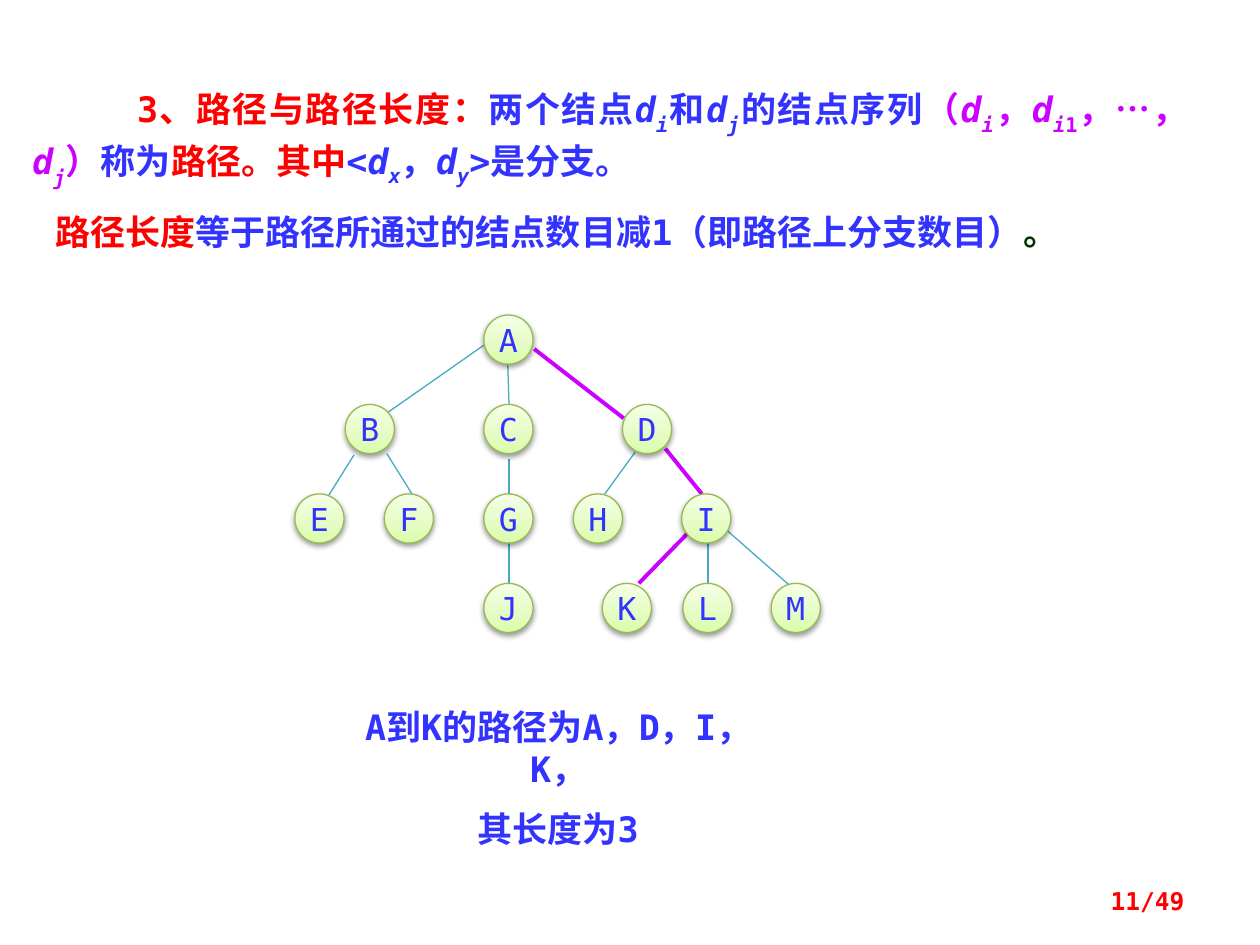
"""Build the slide on paths and path length in a tree."""
import pptx
import pptx.util
import pptx.dml.color
import pptx.enum.shapes
import pptx.enum.text
import pptx.oxml
import pptx.oxml.ns

Inches, Pt = pptx.util.Inches, pptx.util.Pt
ALIGN, ANCHOR = pptx.enum.text.PP_ALIGN, pptx.enum.text.MSO_ANCHOR

THEME = dict(
    font="DejaVu Sans Mono", symbol="Arial", body=20, node=18, number=14,
    blue="3333FF", red="FF0000", path="CC00FF", green="003300",
    edge="46AAC5", outline="98B955",
    stops=[(0, "DAFDA7"), (35, "E4FCC2"), (100, "F5FFE7")],
)

# Each run: text, colour, style (i italic, s subscript, x shallow subscript, a symbol font)
DEFINITION = [
    ("3、路径与路径长度：", "red", ""), ("两个结点", "blue", ""),
    ("d", "blue", "i"), ("i", "blue", "is"), ("和", "blue", ""),
    ("d", "blue", "i"), ("j", "blue", "is"), ("的结点序列", "blue", ""),
    ("（", "path", ""), ("d", "path", "i"), ("i", "path", "is"), ("，", "path", ""),
    ("d", "path", "i"), ("i", "path", "is"), ("1", "path", "s"), ("，", "path", ""),
    ("…", "path", "a"), ("，", "path", ""), ("d", "path", "i"), ("j", "path", "is"),
    ("）", "path", ""), ("称为", "blue", ""), ("路径。其中", "red", ""),
    ("<", "blue", ""), ("d", "blue", "i"), ("x", "blue", "ix"), ("，", "blue", ""),
    ("d", "blue", "i"), ("y", "blue", "ix"), (">是分支。", "blue", ""),
]
LENGTH = [
    ("路径长度", "red", ""),
    ("等于路径所通过的结点数目减1（即路径上分支数目）", "blue", ""),
    ("。", "green", ""),
]
EXAMPLE = ["A到K的路径为A，D，I，K，", "其长度为3"]

LEVELS = [
    {"A": 3.84},
    {"B": 2.74, "C": 3.84, "D": 4.94},
    {"E": 2.34, "F": 3.05, "G": 3.84, "H": 4.55, "I": 5.41},
    {"J": 3.84, "K": 4.78, "L": 5.42, "M": 6.12},
]
TREE_TOP, LEVEL_STEP, NODE_SIZE = 2.5, 0.71, 0.39

BRANCHES = [
    (3.84, 2.74, 3.04, 3.3), (2.81, 3.61, 2.61, 3.93), (3.07, 3.6, 3.27, 3.92),
    (4.03, 2.89, 4.04, 3.21), (4.04, 3.64, 4.04, 3.92), (4.04, 4.31, 4.04, 4.63),
    (5.04, 3.59, 4.8, 3.92), (5.62, 4.31, 5.62, 4.63), (5.77, 4.21, 6.26, 4.64),
]
PATH_BRANCHES = [
    (4.24, 2.77, 4.95, 3.32), (5.28, 3.56, 5.57, 3.92), (5.46, 4.23, 5.07, 4.63),
]


def rgb(name):
    return pptx.dml.color.RGBColor.from_string(THEME[name])


def add_run(p, text, color, size, bold=False, style=""):
    r = p.add_run()
    r.text = text
    r.font.name = THEME["symbol" if "a" in style else "font"]
    r.font.size = Pt(THEME[size])
    r.font.bold = bold
    r.font.italic = "i" in style
    r.font.color.rgb = rgb(color)
    for mark, baseline in (("s", "-30000"), ("x", "-25000")):
        if mark in style:
            r.font._element.set("baseline", baseline)


def add_text(s, box, paragraphs, size, align, space=0, line=None, indents=(), anchor=ANCHOR.TOP):
    tf = s.shapes.add_textbox(*map(Inches, box)).text_frame
    tf.word_wrap = True
    tf.vertical_anchor = anchor
    for n, runs in enumerate(paragraphs):
        p = tf.add_paragraph() if n else tf.paragraphs[0]
        p.alignment = align
        pPr = p._p.get_or_add_pPr()
        pPr.set("hangingPunct", "0")
        if line:
            p.line_spacing = Pt(line)
        if n:
            p.space_before = Pt(space)
        if indents:
            pPr.set("indent", str(Inches(indents[n])))
        for text, color, style in runs:
            add_run(p, text, color, size, True, style)


def add_branch(tree, ends, color, width):
    c = tree.shapes.add_connector(pptx.enum.shapes.MSO_CONNECTOR.STRAIGHT, *map(Inches, ends))
    c.line.color.rgb = rgb(color)
    c.line.width = Pt(width)
    c._element.spPr.append(pptx.oxml.parse_xml(f"<a:effectLst {pptx.oxml.ns.nsdecls('a')}/>"))


def add_node(tree, name, left, top):
    sp = tree.shapes.add_shape(
        pptx.enum.shapes.MSO_SHAPE.OVAL, *map(Inches, (left, top, NODE_SIZE, NODE_SIZE)))
    sp.fill.gradient()
    sp.line.color.rgb = rgb("outline")
    sp.line.width = Pt(0.75)
    ns = pptx.oxml.ns.nsdecls("a")
    stops = "".join(
        f'<a:gs pos="{pos * 1000}"><a:srgbClr val="{color}"/></a:gs>' for pos, color in THEME["stops"])
    spPr = sp._element.spPr
    spPr.replace(spPr.find(pptx.oxml.ns.qn("a:gradFill")), pptx.oxml.parse_xml(
        f'<a:gradFill {ns} rotWithShape="1"><a:gsLst>{stops}</a:gsLst>'
        '<a:lin ang="16200000" scaled="0"/></a:gradFill>'))
    spPr.append(pptx.oxml.parse_xml(
        f'<a:effectLst {ns}><a:outerShdw blurRad="{Pt(3.1)}" dist="{Pt(1.6)}" dir="5400000" '
        'rotWithShape="0"><a:srgbClr val="000000"><a:alpha val="38000"/></a:srgbClr>'
        '</a:outerShdw></a:effectLst>'))
    tf = sp.text_frame
    tf.word_wrap = False
    tf.vertical_anchor = ANCHOR.MIDDLE
    p = tf.paragraphs[0]
    p.alignment = ALIGN.CENTER
    add_run(p, name, "blue", "node")


def main():
    prs = pptx.Presentation()
    prs.slide_width, prs.slide_height = Inches(10), Inches(7.5)
    s = prs.slides.add_slide(prs.slide_layouts[6])
    add_text(s, (0.16, 0.62, 9.36, 1.45), [DEFINITION, LENGTH], "body", ALIGN.JUSTIFY,
             space=6, line=30, indents=(0.83, 0.18))
    tree = s.shapes.add_group_shape()
    for ends in BRANCHES:
        add_branch(tree, ends, "edge", 0.75)
    for ends in PATH_BRANCHES:
        add_branch(tree, ends, "path", 2.25)
    for depth, level in enumerate(LEVELS):
        for name, left in level.items():
            add_node(tree, name, left, TREE_TOP + depth * LEVEL_STEP)
    add_text(s, (2.66, 5.55, 3.54, 0.94), [[(text, "blue", "")] for text in EXAMPLE],
             "body", ALIGN.CENTER, space=10)
    add_text(s, (7.17, 6.95, 2.33, 0.4), [[("11/49", "red", "")]], "number", ALIGN.RIGHT,
             anchor=ANCHOR.MIDDLE)
    prs.save("out.pptx")


if __name__ == "__main__":
    main()
